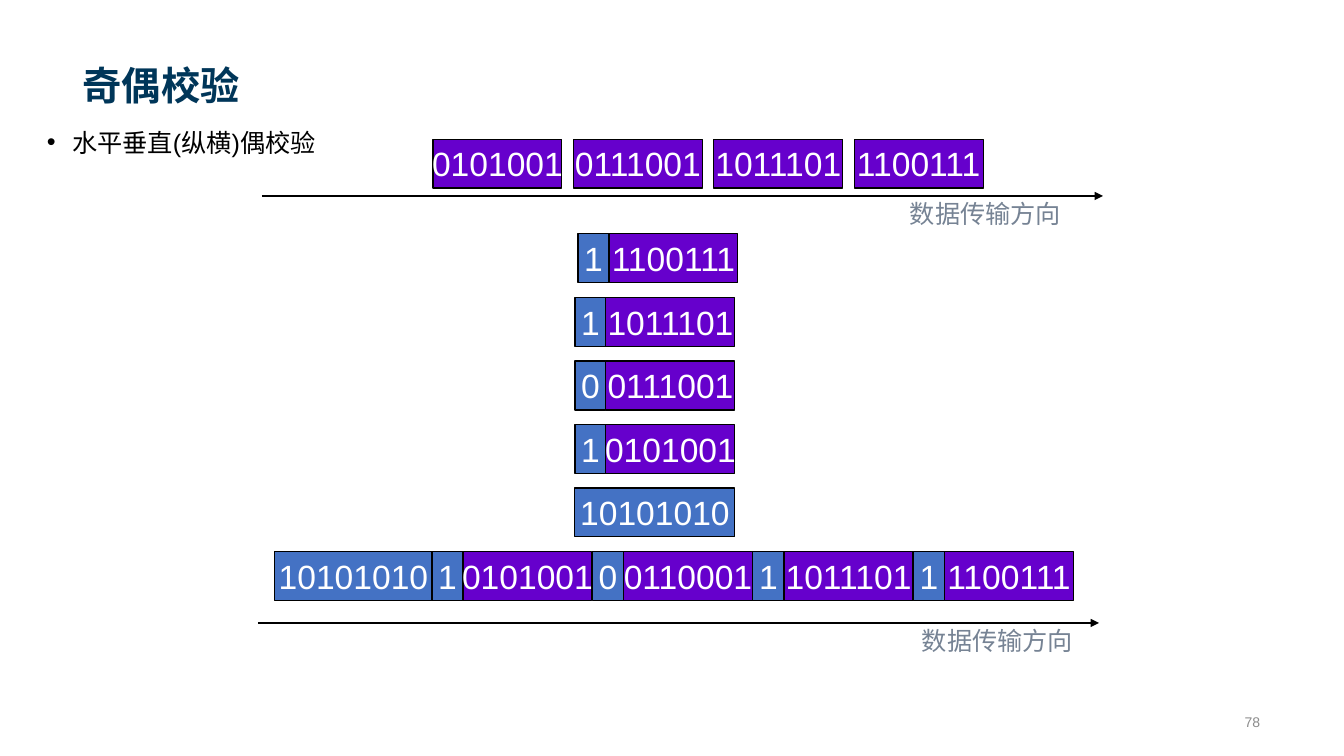
from lxml import etree
from pptx import Presentation
from pptx.dml.color import RGBColor
from pptx.enum.shapes import MSO_CONNECTOR, MSO_SHAPE
from pptx.enum.text import MSO_ANCHOR, PP_ALIGN
from pptx.oxml.ns import qn
from pptx.util import Pt

LEFT, CENTER, RIGHT = PP_ALIGN.LEFT, PP_ALIGN.CENTER, PP_ALIGN.RIGHT
TOP, MIDDLE, BOTTOM = MSO_ANCHOR.TOP, MSO_ANCHOR.MIDDLE, MSO_ANCHOR.BOTTOM
RECT, STRAIGHT = MSO_SHAPE.RECTANGLE, MSO_CONNECTOR.STRAIGHT

NAVY = RGBColor(0x00, 0x36, 0x59)
PURPLE = RGBColor(0x66, 0x00, 0xCC)
BLUE = RGBColor(0x44, 0x72, 0xC4)
SLATE = RGBColor(0x76, 0x83, 0x94)
GRAY = RGBColor(0x8C, 0x8C, 0x8C)
BLACK = RGBColor(0x00, 0x00, 0x00)
WHITE = RGBColor(0xFF, 0xFF, 0xFF)

# Content
TITLE = "奇偶校验"
POINT = "水平垂直(纵横)偶校验"
FLOW = "数据传输方向"
NUMBER = "78"
WORDS = ["0101001", "0111001", "1011101", "1100111"]
STACK = [("1", "1100111"), ("1", "1011101"), ("0", "0111001"), ("1", "0101001")]
CHECK = "10101010"
SENT = [("1", "0101001"), ("0", "0110001"), ("1", "1011101"), ("1", "1100111")]
# Arrow left, arrow y, label left, label top
FLOWS = [(262, 196, 900, 193), (258, 623, 912, 620)]

# Layout in px
WIDE, HIGH = 1344, 756
SCALE = 12192000 / WIDE
CELL_H, BIT_W, WORD_W = 49, 31, 129
WORD_X, WORD_Y, WORD_STEP = 433, 139, 140.4
STACK_X, STACK_Y, ROW_STEP = 575, 234, 63.5
SENT_X, SENT_STEP = 432, 160.5
ARROW_W = 841


def px(n):
    return round(n * SCALE)


def style(frame, text, size, color, align=LEFT, anchor=TOP, wrap=False):
    frame.word_wrap = wrap
    frame.vertical_anchor = anchor
    para = frame.paragraphs[0]
    para.text = text
    para.alignment = align
    font = para.runs[0].font
    font.name, font.size, font.color.rgb = "Arial", Pt(size), color
    return para


def label(box, *args, **kw):
    shape = slide.shapes.add_textbox(*map(px, box))
    return style(shape.text_frame, *args, **kw)


def cell(x, y, w, text, color):
    shape = slide.shapes.add_shape(RECT, px(x), px(y), px(w), px(CELL_H))
    shape.shadow.inherit = False
    shape.fill.solid()
    shape.fill.fore_color.rgb = color
    shape.line.color.rgb = BLACK
    shape.line.width = Pt(0.75)
    style(shape.text_frame, text, 24, WHITE, CENTER, MIDDLE)


def pair(x, y, bit, word):
    """Draw a parity bit and the word it guards."""
    cell(x, y, BIT_W, bit, BLUE)
    cell(x + BIT_W, y, WORD_W, word, PURPLE)


def arrow(x, y):
    line = slide.shapes.add_connector(STRAIGHT, px(x), px(y), px(x + ARROW_W), px(y))
    line.line.color.rgb = BLACK
    line.line.width = Pt(1.5)
    etree.SubElement(line.line._get_or_add_ln(), qn("a:tailEnd"), type="triangle")
    etree.SubElement(line._element.spPr, qn("a:effectLst"))


prs = Presentation()
prs.slide_width, prs.slide_height = px(WIDE), px(HIGH)
slide = prs.slides.add_slide(prs.slide_layouts[6])

title = label((73, 14, 1198, 99), TITLE, 28, NAVY, anchor=BOTTOM, wrap=True)
title.runs[0].font.bold = True

point = label((37, 116, 1270, 66), POINT, 18, BLACK, wrap=True)
point.line_spacing = 1.2
props = point._p.get_or_add_pPr()
props.set("marL", "228600")
props.set("indent", "-228600")
etree.SubElement(props, qn("a:buFont"), typeface="Arial")
etree.SubElement(props, qn("a:buChar"), char="•")

for i, word in enumerate(WORDS):
    cell(WORD_X + i * WORD_STEP, WORD_Y, WORD_W, word, PURPLE)

for i, (bit, word) in enumerate(STACK):
    nudge = 3 if i == 0 else 0
    pair(STACK_X + nudge, STACK_Y + i * ROW_STEP, bit, word)
cell(STACK_X, STACK_Y + len(STACK) * ROW_STEP, BIT_W + WORD_W, CHECK, BLUE)

sent_y = STACK_Y + (len(STACK) + 1) * ROW_STEP
check_w = 157
cell(SENT_X - check_w, sent_y, check_w, CHECK, BLUE)
for i, (bit, word) in enumerate(SENT):
    pair(SENT_X + i * SENT_STEP, sent_y, bit, word)

for x, y, text_x, text_y in FLOWS:
    arrow(x, y)
    label((text_x, text_y, 173, 40), FLOW, 18, SLATE)

label((857, 707, 413, 30), NUMBER, 10, GRAY, RIGHT, MIDDLE, True)

prs.save("out.pptx")
